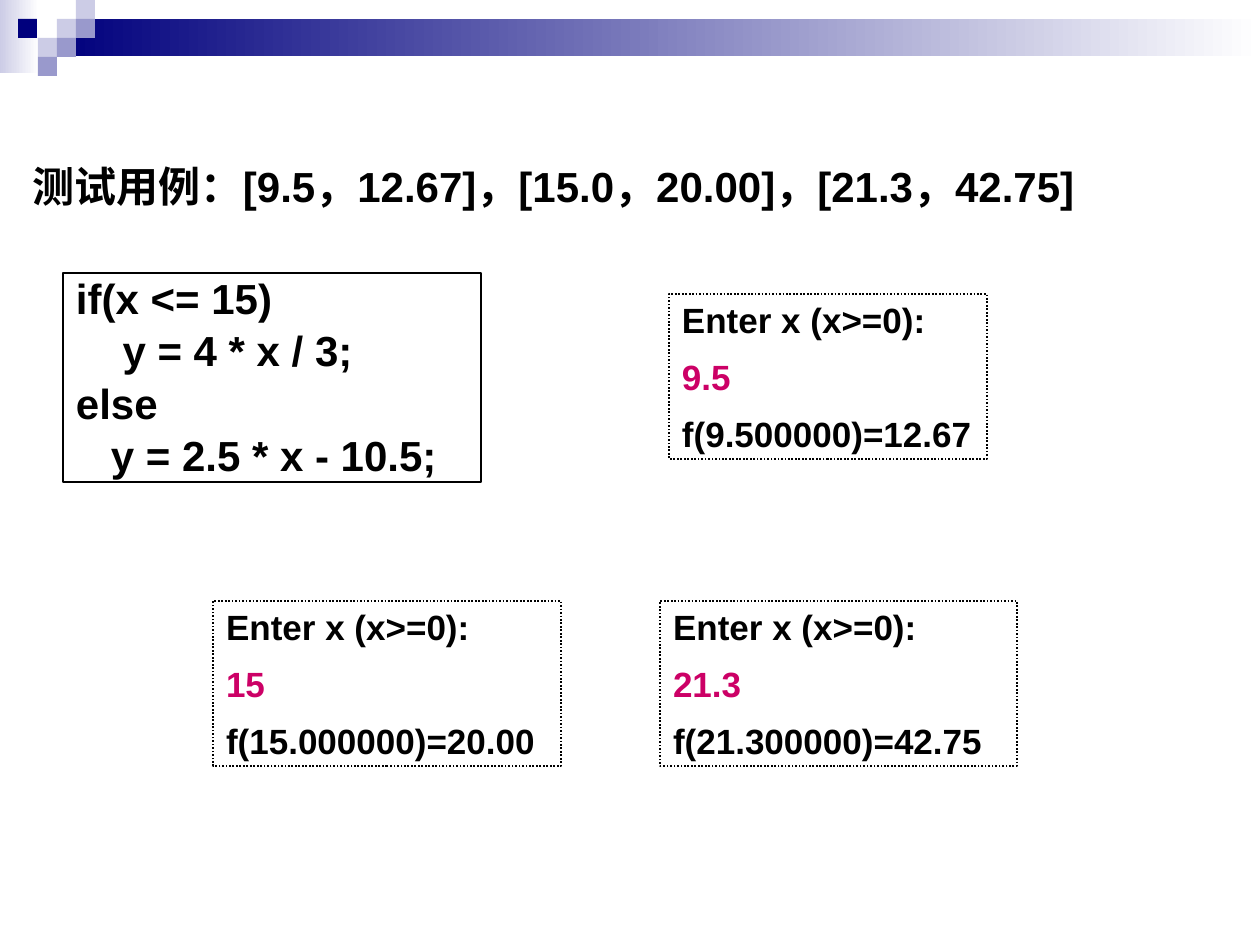
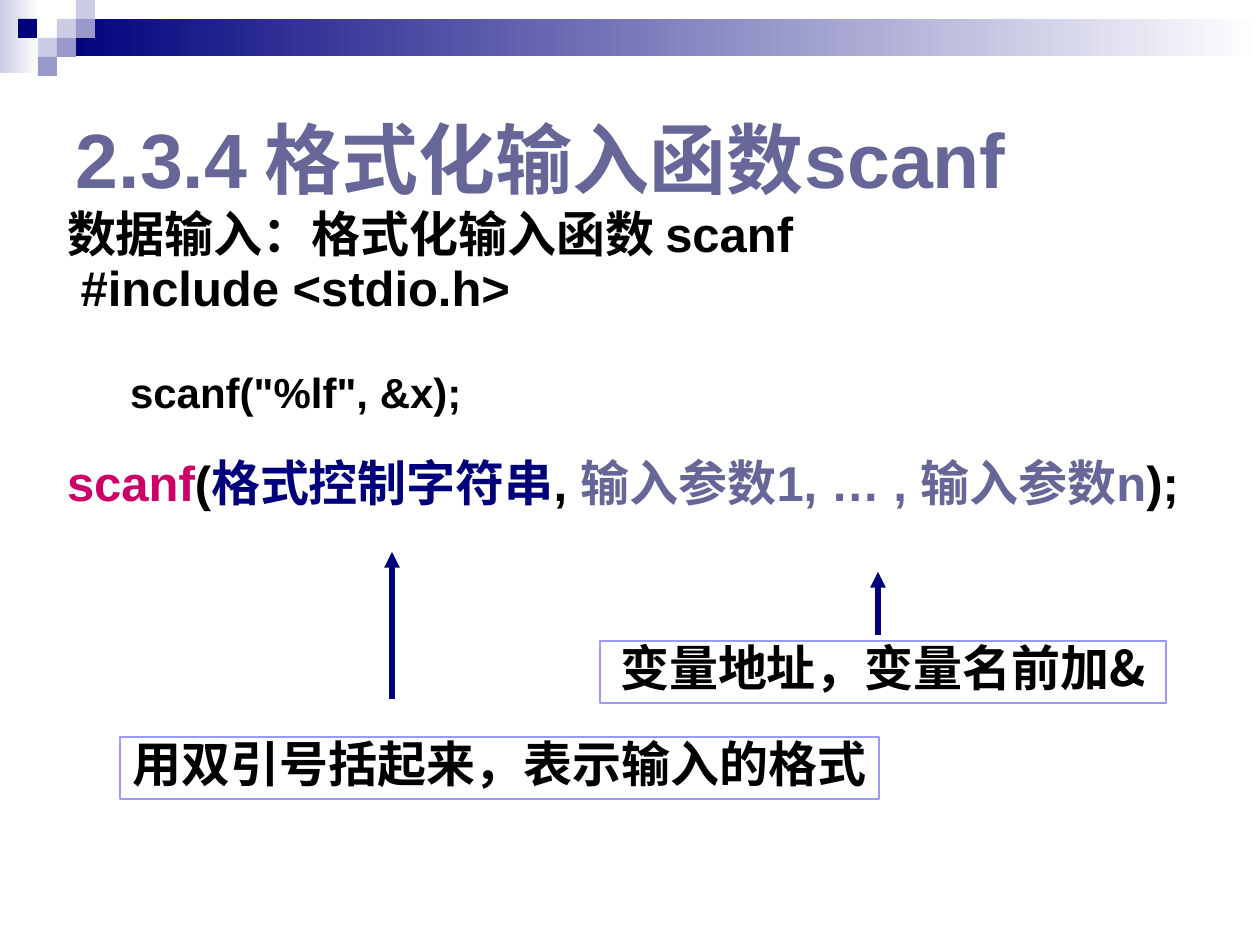
from lxml import etree
from pptx import Presentation
from pptx.dml.color import RGBColor as RGB
from pptx.enum.dml import MSO_LINE_DASH_STYLE as Dash
from pptx.enum.shapes import MSO_CONNECTOR as Link, MSO_SHAPE as Form
from pptx.enum.text import MSO_ANCHOR as Anchor, MSO_AUTO_SIZE as Fit, PP_ALIGN as Align
from pptx.oxml.ns import qn
from pptx.util import Emu, Pt

SCALE = 914400 / 126
WHITE = RGB(0xFF, 0xFF, 0xFF)
BLACK = RGB(0, 0, 0)
NAVY = RGB(0, 0, 0x7D)
SLATE = RGB(0x66, 0x66, 0x99)
LILAC = RGB(0x99, 0x99, 0xCC)
PALE = RGB(0xCC, 0xCC, 0xE6)
PERI = RGB(0x99, 0x99, 0xFF)
PINK = RGB(0xCC, 0, 0x66)
LATIN, HAN = "Arial", "Noto Sans CJK SC"
TILES = [(57, 19, PALE), (76, 0, PALE), (76, 19, LILAC), (38, 38, PALE),
         (18, 19, NAVY), (57, 38, LILAC), (38, 57, LILAC)]


def px(n):
    return Emu(round(n * SCALE))


def node(parent, tag, **attrs):
    return etree.SubElement(parent, qn(tag), attrs)


def assign(target, values):
    for name, value in values.items():
        setattr(target, name, value)


class Deck:
    def __init__(self):
        self.prs = Presentation()
        assign(self.prs, {"slide_width": px(1260), "slide_height": px(945)})
        self.slide = None

    def start(self):
        self.slide = self.prs.slides.add_slide(self.prs.slide_layouts[1])
        self.tile(0, 0, 39, 73, PALE, fade=True)
        self.tile(57, 19, 1203, 37, NAVY, fade=True)
        for x, y, color in TILES:
            self.tile(x, y, 19, 19, color)

    def rect(self, *box):
        shape = self.slide.shapes.add_shape(Form.RECTANGLE, *map(px, box))
        shape.shadow.inherit = False
        return shape

    def tile(self, x, y, w, h, color, fade=False):
        shape = self.rect(x, y, w, h)
        shape.line.fill.background()
        if fade:
            shape.fill.gradient()
            shape.fill.gradient_angle = 0
            for stop, tone in zip(shape.fill.gradient_stops, (color, WHITE)):
                stop.color.rgb = tone
        else:
            shape.fill.solid()
            shape.fill.fore_color.rgb = color

    def words(self, shape, paras, size, color=BLACK, font=LATIN, frame={}, form={}):
        """Fill a shape; a para is a string or (runs, own format), a run a string or (text, color)."""
        text = shape.text_frame
        base = {"word_wrap": True, "auto_size": Fit.NONE, "margin_left": px(13),
                "margin_right": px(13), "margin_top": px(6), "margin_bottom": px(6)}
        assign(text, base | frame)
        for i, entry in enumerate(paras):
            runs, own = ([entry], {}) if isinstance(entry, str) else entry
            look = {"size": size, "hang": 0, "left": 0, "tab": 0} | own
            para = text.paragraphs[0] if i == 0 else text.add_paragraph()
            props = para._p.get_or_add_pPr()
            props.set("marL", str(px(look["left"])))
            props.set("indent", str(-px(look["hang"])))
            node(props, "a:buNone")
            if look["tab"]:
                node(node(props, "a:tabLst"), "a:tab", pos=str(px(look["tab"])), algn="l")
            assign(para, {"alignment": Align.LEFT} | form)
            gap = own.get("gap", form.get("space_before", Pt(0)))
            para.space_before = gap if i else Pt(0)
            for part in runs:
                string, tone = (part, color) if isinstance(part, str) else part
                run = para.add_run()
                run.text = string
                assign(run.font, {"size": Pt(look["size"]), "bold": True, "name": font})
                run.font.color.rgb = tone
                node(run._r.get_or_add_rPr(), "a:ea", typeface=HAN)

    def holder(self, index, *box):
        shape = self.slide.placeholders[index]
        assign(shape, dict(zip(("left", "top", "width", "height"), map(px, box))))
        return shape

    def title(self, string, tab):
        self.words(self.holder(0, 63, 63, 1134, 189), [([string], {"tab": tab})], 44, SLATE,
                   frame={"vertical_anchor": Anchor.MIDDLE})

    def body(self, box, paras, size, frame={}, **form):
        shape = self.holder(1, *box)
        self.words(shape, paras, size, frame=frame, form=form)
        return shape

    def label(self, box, string, size):
        shape = self.slide.shapes.add_textbox(*map(px, box))
        self.words(shape, [string], size, frame={"word_wrap": False})

    def panel(self, box, paras, size, edge, dash=None, font=LATIN, wrap=True, **form):
        shape = self.rect(*box)
        shape.fill.background()
        self.outline(shape, edge, 1, dash)
        self.words(shape, paras, size, font=font, form=form,
                   frame={"vertical_anchor": Anchor.MIDDLE, "word_wrap": wrap})

    def outline(self, shape, color, width, dash=None):
        shape.line.color.rgb = color
        shape.line.width = Pt(width)
        if dash:
            shape.line.dash_style = dash

    def arrow(self, x, low, high):
        line = self.slide.shapes.add_connector(Link.STRAIGHT, *map(px, (x, low, x, high)))
        self.outline(line, NAVY, 3)
        props = line._element.spPr
        node(props.find(qn("a:ln")), "a:tailEnd", type="triangle")
        node(props, "a:effectLst")


def tests(deck):
    deck.start()
    title = deck.slide.shapes.title._element
    title.getparent().remove(title)
    code = deck.body((63, 273, 418, 209),
                     ["if(x <= 15)", "    y = 4 * x / 3;", "else", "   y = 2.5 * x - 10.5;"],
                     24, {"margin_top": px(9)}, line_spacing=0.8, space_before=Pt(7))
    deck.outline(code, BLACK, 0.75)
    trials = [((669, 294, 318, 165), "9.5", "f(9.500000)=12.67"),
              ((213, 601, 348, 165), "15", "f(15.000000)=20.00"),
              ((660, 601, 357, 165), "21.3", "f(21.300000)=42.75")]
    for box, given, result in trials:
        deck.panel(box, ["Enter x (x>=0):", ([(given, PINK)], {}), result], 20, BLACK,
                   Dash.ROUND_DOT, space_before=Pt(8.4))
    deck.label((20, 155, 1178, 63), "测试用例：[9.5，12.67]，[15.0，20.00]，[21.3，42.75]", 24)


def scanf(deck):
    deck.start()
    deck.title("2.3.4\t格式化输入函数scanf", 232)
    hang = {"left": 48, "hang": 48}
    call = [("scanf", PINK), "(", ("格式控制字符串", NAVY), ", ",
            ("输入参数1, … , 输入参数n", SLATE), ");"]
    deck.body((54, 214, 1181, 367),
              [(["数据输入：格式化输入函数 scanf"], hang),
               ([" #include <stdio.h>"], hang),
               (['scanf("%lf", &x);'], {"left": 102, "hang": 39, "size": 24, "gap": Pt(37.5)}),
               (call, hang | {"gap": Pt(30.5)})],
              28, line_spacing=0.7, space_before=Pt(7))
    notes = [((120, 737, 759, 62), "用双引号括起来，表示输入的格式", False, (392, 699, 552)),
             ((600, 641, 566, 62), "变量地址，变量名前加&", True, (878, 635, 572))]
    for box, string, wrap, stem in notes:
        deck.panel(box, [string], 28, PERI, font=HAN, wrap=wrap,
                   alignment=Align.CENTER, line_spacing=0.84)
        deck.arrow(*stem)


def main():
    deck = Deck()
    tests(deck)
    scanf(deck)
    deck.prs.save("out.pptx")


if __name__ == "__main__":
    main()
